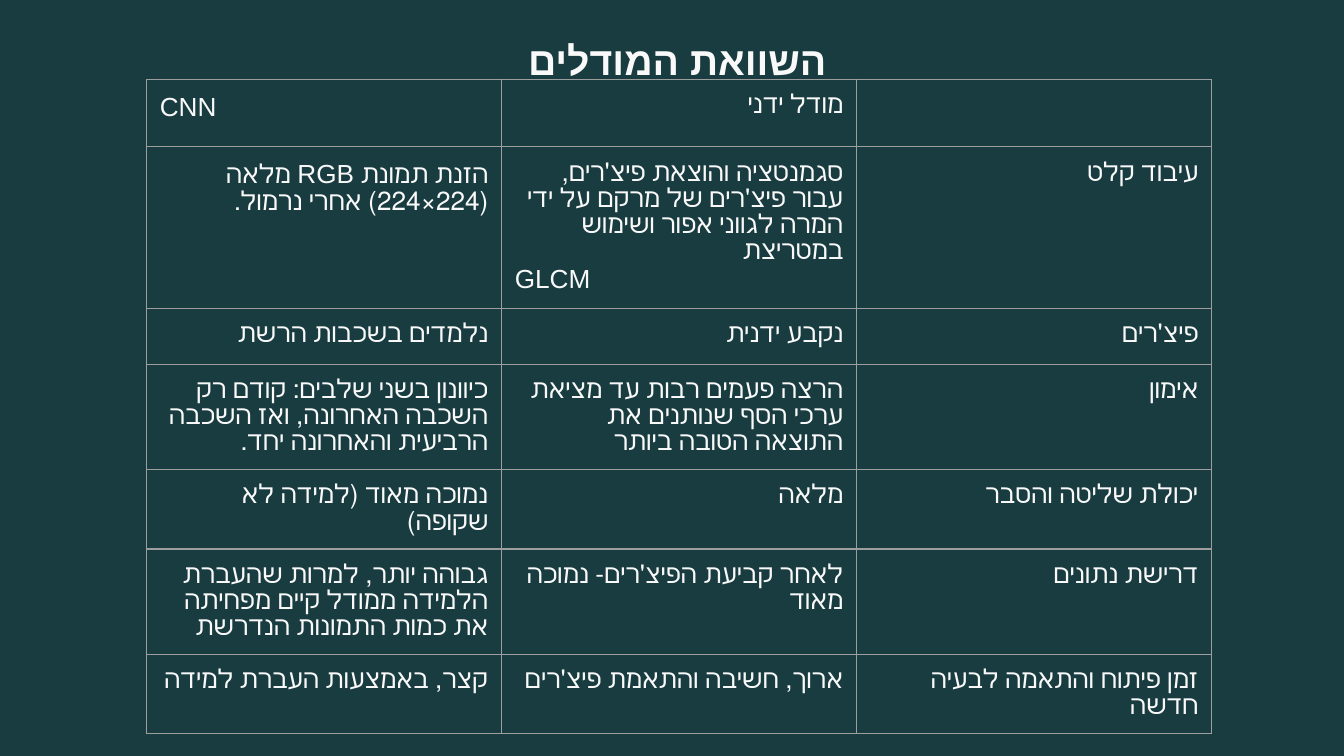
from dataclasses import dataclass

from lxml.etree import SubElement
from pptx import Presentation
from pptx.dml.color import RGBColor
from pptx.enum.text import MSO_ANCHOR, MSO_AUTO_SIZE, PP_ALIGN
from pptx.oxml.ns import qn
from pptx.util import Cm, Pt


@dataclass(frozen=True)
class Theme:
    back: str = "183C40"
    ink: str = "F9F9F9"
    rule: str = "9E9E9E"
    head: str = "Roboto"
    body: str = "Arial"
    big: int = 21
    small: int = 14
    line: float = 0.75
    inset: float = 0.25


@dataclass(frozen=True)
class Row:
    height: float
    cnn: str
    manual: str
    topic: str


THEME = Theme()
COLUMN = 6.71
ROWS = [
    Row(1.2, "CNN", "מודל ידני", ""),
    Row(3.05, "הזנת תמונת RGB מלאה (224×224) אחרי נרמול. ",
        "סגמנטציה והוצאת פיצ'רים, עבור פיצ'רים של מרקם על ידי "
        "המרה לגווני אפור ושימוש במטריצת\nGLCM", "עיבוד קלט"),
    Row(1.06, "נלמדים בשכבות הרשת", "נקבע ידנית", "פיצ'רים"),
    Row(1.99, "כיוונון בשני שלבים: קודם רק השכבה האחרונה, ואז השכבה "
        "הרביעית והאחרונה יחד.",
        "הרצה פעמים רבות עד מציאת ערכי הסף שנותנים את התוצאה הטובה ביותר",
        "אימון"),
    Row(1.5, "נמוכה מאוד (למידה לא שקופה)", "מלאה", "יכולת שליטה והסבר "),
    Row(1.99, "גבוהה יותר, למרות שהעברת הלמידה ממודל קיים מפחיתה את "
        "כמות התמונות הנדרשת",
        "לאחר קביעת הפיצ'רים- נמוכה מאוד", "דרישת נתונים"),
    Row(1.5, "קצר, באמצעות העברת למידה", "ארוך, חשיבה והתאמת פיצ'רים",
        "זמן פיתוח והתאמה לבעיה חדשה"),
]


def write(frame, text: str, *, size: int, font: str, bold: bool = False,
          align=PP_ALIGN.RIGHT, spacing: float | None = None,
          script: str | None = None) -> None:
    """Fill a frame; Hebrew lines run right to left, Latin lines sit left."""
    frame.word_wrap = True
    for index, line in enumerate(text.split("\n")):
        para = frame.add_paragraph() if index else frame.paragraphs[0]
        hebrew = not line.isascii()
        para.alignment = align if hebrew else PP_ALIGN.LEFT
        if hebrew:
            para._p.get_or_add_pPr().set("rtl", "1")
        if spacing:
            para.line_spacing = spacing
        run = para.add_run()
        run.text = line
        run.font.size = Pt(size)
        run.font.name = font
        run.font.bold = bold
        run.font.color.rgb = RGBColor.from_string(THEME.ink)
        if script:
            SubElement(run._r.get_or_add_rPr(), qn("a:cs"), typeface=script)


def pad(box) -> None:
    box.margin_left = box.margin_right = Cm(THEME.inset)
    box.margin_top = box.margin_bottom = Cm(THEME.inset)


def border(cell) -> None:
    props = cell._tc.get_or_add_tcPr()
    for side in ("lnL", "lnR", "lnT", "lnB"):
        line = SubElement(props, qn(f"a:{side}"), w=str(Pt(THEME.line)))
        fill = SubElement(line, qn("a:solidFill"))
        SubElement(fill, qn("a:srgbClr"), val=THEME.rule)


def add_title(slide) -> None:
    title = slide.shapes.title
    title.left, title.top = Cm(1.22), Cm(0.3)
    title.width, title.height = Cm(22.96), Cm(2.13)
    frame = title.text_frame
    frame.auto_size = MSO_AUTO_SIZE.NONE
    frame.vertical_anchor = MSO_ANCHOR.TOP
    pad(frame)
    write(frame, "השוואת המודלים ", size=THEME.big, font=THEME.head,
          bold=True, align=PP_ALIGN.CENTER, spacing=1.15, script=THEME.body)


def add_grid(slide) -> None:
    height = sum(row.height for row in ROWS)
    table = slide.shapes.add_table(len(ROWS), 3, Cm(2.77), Cm(1.5),
                                   Cm(3 * COLUMN), Cm(height)).table
    table.first_row = table.horz_banding = False
    for column in table.columns:
        column.width = Cm(COLUMN)
    for index, row in enumerate(ROWS):
        table.rows[index].height = Cm(row.height)
        for cell, text in zip(table.rows[index].cells,
                              (row.cnn, row.manual, row.topic)):
            pad(cell)
            border(cell)
            cell.fill.background()
            if text:
                write(cell.text_frame, text, size=THEME.small, font=THEME.body)


def main() -> None:
    deck = Presentation()
    deck.slide_width, deck.slide_height = Cm(25.4), Cm(14.29)
    slide = deck.slides.add_slide(deck.slide_layouts[5])
    fill = slide.background.fill
    fill.solid()
    fill.fore_color.rgb = RGBColor.from_string(THEME.back)
    add_title(slide)
    add_grid(slide)
    deck.save("out.pptx")


if __name__ == "__main__":
    main()
